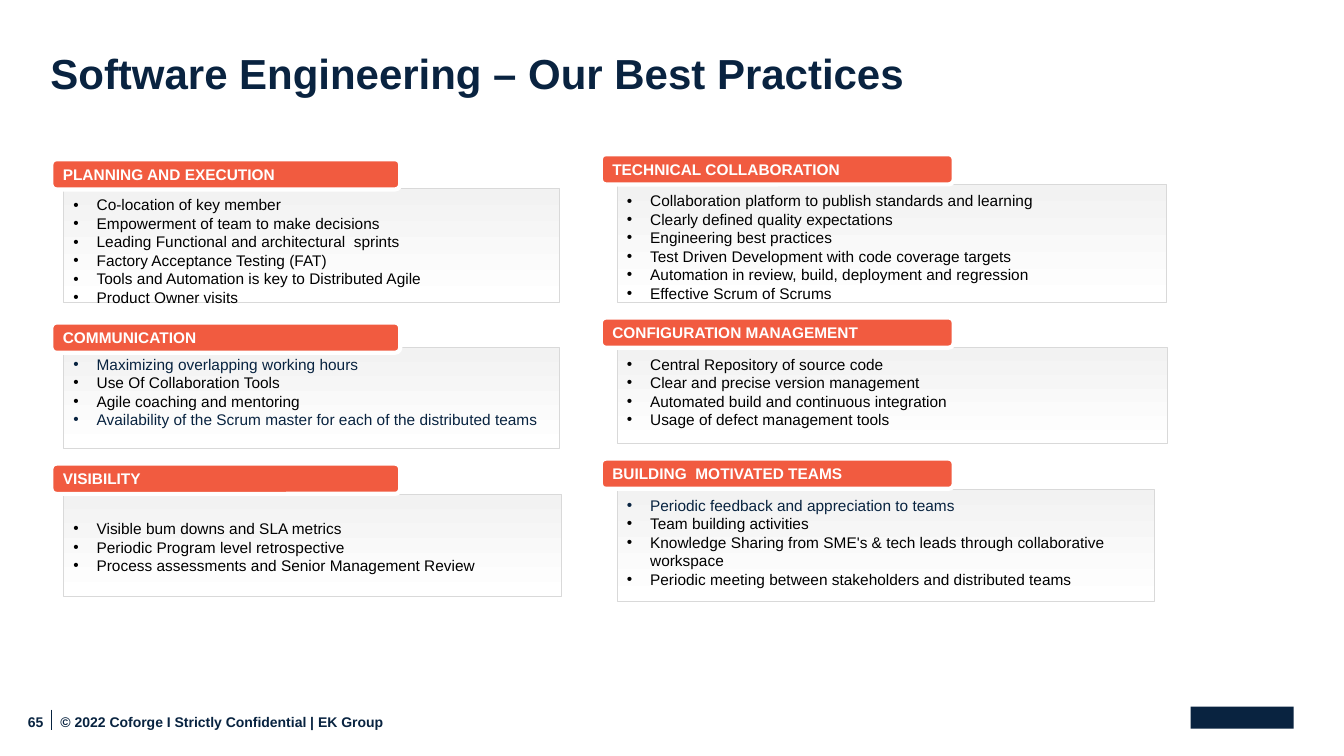
from lxml.etree import SubElement
from pptx import Presentation
from pptx.dml.color import RGBColor
from pptx.enum.shapes import MSO_CONNECTOR as LINK, MSO_SHAPE as SHAPE
from pptx.enum.text import MSO_ANCHOR as ANCHOR, MSO_AUTO_SIZE as AUTO, PP_ALIGN as ALIGN
from pptx.oxml.ns import qn
from pptx.util import Pt

PX = 9144  # 100 px to the inch
NAVY, INK, CORAL, WHITE = "082340", "000000", "F15B40", "FFFFFF"

# Columns: left edge, tab width, body indent, panels
# Panels: tab top, body drop, body width, body height, top inset, title, lines, navy lines
LEFT = (51, 346, 12, [
    (158, 29, 492, 113, 7, "PLANNING AND EXECUTION", [
        "Co-location of key member",
        "Empowerment of team to make decisions",
        "Leading Functional and architectural  sprints",
        "Factory Acceptance Testing (FAT)",
        "Tools and Automation is key to Distributed Agile",
        "Product Owner visits"], ()),
    (320, 25, 492, 100, 7, "COMMUNICATION", [
        "Maximizing overlapping working hours",
        "Use Of Collaboration Tools",
        "Agile coaching and mentoring",
        "Availability of the Scrum master for each of the distributed teams"], (0, 3)),
    (460, 30, 494, 102, 25, "VISIBILITY", [
        "Visible bum downs and SLA metrics",
        "Periodic Program level retrospective",
        "Process assessments and Senior Management Review"], ()),
])
RIGHT = (596, 350, 16, [
    (153, 30, 545, 117, 7, "TECHNICAL COLLABORATION", [
        "Collaboration platform to publish standards and learning",
        "Clearly defined quality expectations",
        "Engineering best practices",
        "Test Driven Development with code coverage targets",
        "Automation in review, build, deployment and regression",
        "Effective Scrum of Scrums"], ()),
    (315, 30, 546, 95, 7, "CONFIGURATION MANAGEMENT", [
        "Central Repository of source code",
        "Clear and precise version management",
        "Automated build and continuous integration",
        "Usage of defect management tools"], ()),
    (455, 30, 533, 112, 7, "BUILDING  MOTIVATED TEAMS", [
        "Periodic feedback and appreciation to teams",
        "Team building activities",
        "Knowledge Sharing from SME's & tech leads through collaborative workspace",
        "Periodic meeting between stakeholders and distributed teams"], (0,)),
])


def px(*nums):
    return [n * PX for n in nums]


def tint(code):
    return RGBColor.from_string(code)


def bullet(para):
    props = para._p.get_or_add_pPr()
    props.set("marL", str(23 * PX))
    props.set("indent", str(-23 * PX))
    SubElement(props, qn("a:buFont")).set("typeface", "Arial")
    SubElement(props, qn("a:buChar")).set("char", "•")


def write(shape, lines, size=11, hue=INK, bold=False, anchor=ANCHOR.MIDDLE,
          align=ALIGN.LEFT, pad=(10, 5, 10, 5), dots=False, navy=(), lead=None):
    frame = shape.text_frame
    frame.word_wrap = True
    frame.auto_size = AUTO.NONE
    frame.vertical_anchor = anchor
    (frame.margin_left, frame.margin_top,
     frame.margin_right, frame.margin_bottom) = px(*pad)
    for i, line in enumerate(lines):
        para = frame.add_paragraph() if i else frame.paragraphs[0]
        if dots:
            bullet(para)
        para.alignment = align
        if lead:
            para.line_spacing = lead
        run = para.add_run()
        run.text = line
        font = run.font
        font.name, font.size, font.bold = "Arial", Pt(size), bold
        font.color.rgb = tint(NAVY if i in navy else hue)


def block(slide, kind, box, fill, edge=None, width=0):
    shape = slide.shapes.add_shape(kind, *px(*box))
    shape.shadow.inherit = False
    if isinstance(fill, str):
        shape.fill.solid()
        shape.fill.fore_color.rgb = tint(fill)
    else:
        shape.fill.gradient()
        shape.fill.gradient_angle = 270
        for stop, code in zip(shape.fill.gradient_stops, fill):
            stop.color.rgb = tint(code)
    if edge:
        shape.line.color.rgb = tint(edge)
        shape.line.width = Pt(width)
    else:
        shape.line.fill.background()
    return shape


def column(slide, x, wide, inset, panels):
    for y, drop, w, h, top, title, lines, navy in panels:
        body = block(slide, SHAPE.RECTANGLE, (x + inset, y + drop, w, h),
                     ("F2F2F2", WHITE), "D9D9D9", 0.5)
        write(body, lines, anchor=ANCHOR.TOP, pad=(10, top, 10, 5), dots=True, navy=navy)
        tab = block(slide, SHAPE.ROUNDED_RECTANGLE, (x, y, wide, 30), CORAL, WHITE, 3)
        write(tab, [title], hue=WHITE, bold=True)


def header(slide, x, y, w, h):
    title = slide.shapes.title
    title.left, title.top, title.width, title.height = px(x, y, w, h)
    write(title, ["Software Engineering – Our Best Practices"], size=30, hue="092340",
          bold=True, pad=(0, 7, 0, 0), lead=0.9)


def footer(slide, x, y, h):
    page = slide.shapes.add_textbox(*px(x, y, 51, h))
    write(page, ["65"], size=10, hue=NAVY, bold=True, align=ALIGN.RIGHT, pad=(0, 5, 8, 5))
    note = slide.shapes.add_textbox(*px(x + 60, y, 450, h))
    write(note, ["© 2022 Coforge I Strictly Confidential | EK Group"], size=10,
          hue=NAVY, bold=True, pad=(0, 5, 10, 5))
    rule = slide.shapes.add_connector(LINK.STRAIGHT, *px(x + 51, y + 4, x + 51, y + 24))
    rule.line.color.rgb = tint(NAVY)
    rule.line.width = Pt(1)
    SubElement(rule._element.spPr, qn("a:effectLst"))
    # Plain brand mark
    block(slide, SHAPE.RECTANGLE, (x + 1181, y + 1, 102, 22), "092340")


def main():
    deck = Presentation()
    deck.slide_width, deck.slide_height = px(1333, 750)
    slide = deck.slides.add_slide(deck.slide_layouts[5])
    header(slide, 50, 44, 1232, 56)
    for side in (LEFT, RIGHT):
        column(slide, *side)
    footer(slide, 0, 700, 33)
    deck.save("out.pptx")


if __name__ == "__main__":
    main()
